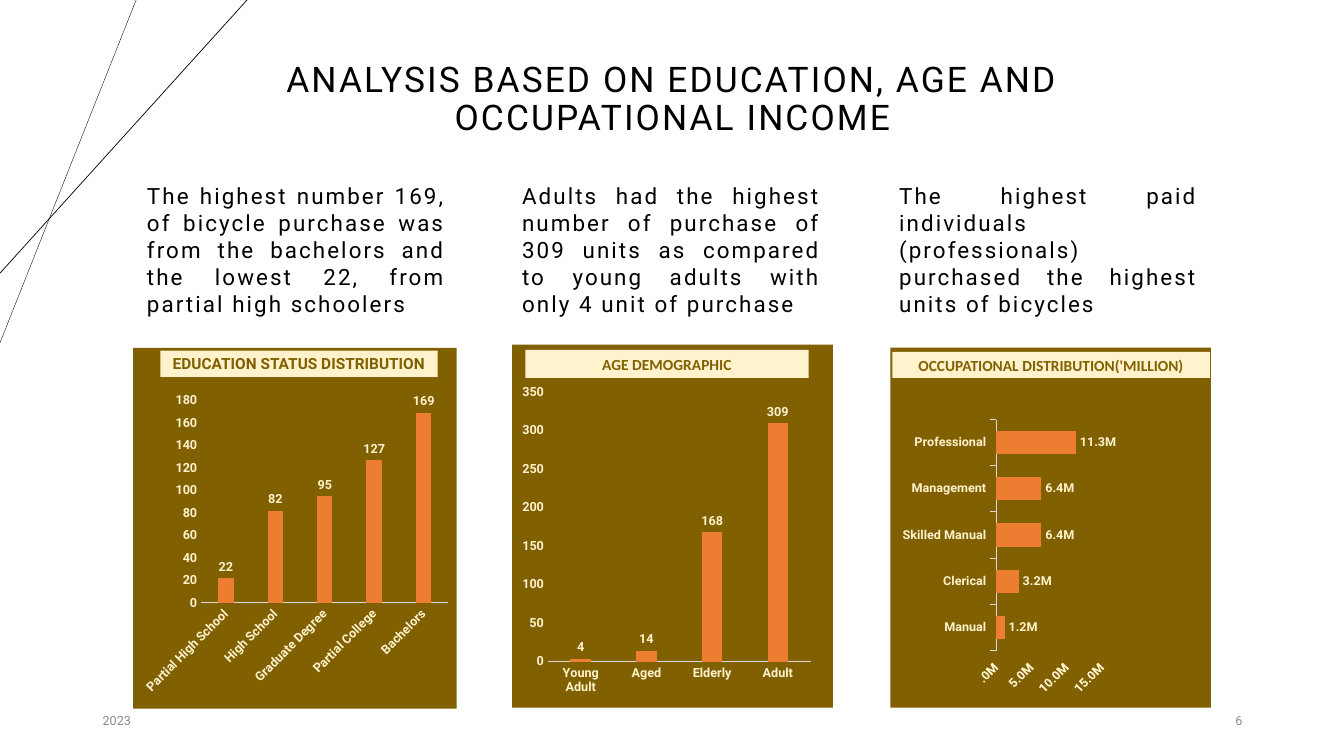
"""Build a slide of bicycle purchases by education, age and occupation."""
import pptx
import pptx.util
import pptx.dml.color
import pptx.chart.data
import pptx.enum.chart
import pptx.enum.shapes
import pptx.enum.text
import pptx.oxml
import pptx.oxml.ns

Inches, Pt = pptx.util.Inches, pptx.util.Pt
Align, Anchor = pptx.enum.text.PP_ALIGN, pptx.enum.text.MSO_ANCHOR
Kind, Tick = pptx.enum.chart.XL_CHART_TYPE, pptx.enum.chart.XL_TICK_MARK
qn = pptx.oxml.ns.qn
BROWN, CREAM, ORANGE, GREY = "806000", "FFF2CC", "ED7D31", "8C8C8C"
MILLIONS = '#.0,,"M"'


def color(code):
    return pptx.dml.color.RGBColor.from_string(code)


def write(shape, words, size, code, align, anchor=Anchor.MIDDLE, face="Roboto",
          bold=False, gap=0, wrap=True):
    frame = shape.text_frame
    frame.word_wrap = wrap
    frame.vertical_anchor = anchor
    para = frame.paragraphs[0]
    para.text = words
    para.alignment = align
    font = para.font
    font.name, font.size, font.bold = face, Pt(size), bold
    font.color.rgb = color(code)
    if gap:
        font._rPr.set("spc", str(gap))
    return para


deck = pptx.Presentation()
deck.slide_width, deck.slide_height = Inches(13.33), Inches(7.5)
slide = deck.slides.add_slide(deck.slide_layouts[6])
shapes = slide.shapes

for right, low, width in [(1.35, 3.4, 0.25), (2.45, 2.71, 0.5)]:
    line = shapes.add_connector(pptx.enum.shapes.MSO_CONNECTOR.STRAIGHT,
                                Inches(right), 0, 0, Inches(low))
    line.line.color.rgb = color("000000")
    line.line.width = Pt(width)
    line._element.spPr.append(pptx.oxml.parse_xml(
        '<a:effectLst xmlns:a="http://schemas.openxmlformats.org/drawingml/2006/main"/>'))

title = shapes.add_textbox(Inches(1.98), Inches(0.64), Inches(9.38), Inches(0.7))
write(title, "ANALYSIS BASED ON EDUCATION, AGE AND OCCUPATIONAL INCOME",
      25.2, "000000", Align.CENTER, gap=150).line_spacing = 0.9

notes = [
    (1.36, "The highest number 169, of bicycle purchase was from the bachelors "
           "and the lowest 22, from partial high schoolers"),
    (5.08, "Adults had the highest number of purchase of 309 units as compared "
           "to young adults with only 4 unit of purchase"),
    (8.82, "The highest paid individuals (professionals) purchased the highest "
           "units of bicycles"),
]
for left, words in notes:
    box = shapes.add_textbox(Inches(left), Inches(1.76), Inches(3.16), Inches(1.4))
    write(box, words, 16, "000000", Align.JUSTIFY, Anchor.TOP, gap=150)

for left, words, align in [(0.92, "2023", Align.LEFT), (9.42, "6", Align.RIGHT)]:
    box = shapes.add_textbox(Inches(left), Inches(6.95), Inches(3), Inches(0.4))
    write(box, words, 9, GREY, align)

panels = [
    ("EDUCATION STATUS DISTRIBUTION", "Roboto", (1.32, 3.45, 3.21, 3.58),
     (1.59, 3.48, 2.75, 0.26), (1.36, 3.84, 3.15, 3.11), Kind.COLUMN_CLUSTERED,
     {"Partial High School": 22, "High School": 82, "Graduate Degree": 95,
      "Partial College": 127, "Bachelors": 169}, 180, 20),
    ("AGE DEMOGRAPHIC", "Calibri", (5.08, 3.42, 3.18, 3.6),
     (5.21, 3.47, 2.81, 0.28), (5.12, 3.75, 2.98, 3.21), Kind.COLUMN_CLUSTERED,
     {"Young Adult": 4, "Aged": 14, "Elderly": 168, "Adult": 309}, 350, 50),
    ("OCCUPATIONAL DISTRIBUTION('MILLION)", "Calibri", (8.83, 3.45, 3.18, 3.57),
     (8.85, 3.49, 3.15, 0.26), (8.83, 3.8, 3.09, 3.1), Kind.BAR_CLUSTERED,
     {"Manual": 1200000, "Clerical": 3200000, "Skilled Manual": 6400000,
      "Management": 6400000, "Professional": 11300000}, 15000000, 5000000),
]
for head, face, panel, band, place, kind, sales, top, step in panels:
    for spot, code in [(panel, BROWN), (band, CREAM)]:
        rect = shapes.add_shape(pptx.enum.shapes.MSO_SHAPE.RECTANGLE,
                                *map(Inches, spot))
        rect.shadow.inherit = False
        rect.fill.solid()
        rect.fill.fore_color.rgb = color(code)
        rect.line.fill.background()
    write(rect, head, 11, BROWN, Align.CENTER, face=face, bold=True, wrap=False)

    flat = kind == Kind.BAR_CLUSTERED
    data = pptx.chart.data.CategoryChartData()
    data.categories = list(sales)
    data.add_series("Series 1", list(sales.values()))
    chart = shapes.add_chart(kind, *map(Inches, place), data).chart
    chart.has_legend = chart.has_title = False
    plot = chart.plots[0]
    plot.vary_by_categories = False
    plot.gap_width = 100 if flat else 219
    plot.overlap = 0 if flat else -27
    plot.has_data_labels = True
    labels = plot.data_labels
    labels.show_value = True
    labels.position = pptx.enum.chart.XL_LABEL_POSITION.OUTSIDE_END
    fill = plot.series[0].format.fill
    fill.solid()
    fill.fore_color.rgb = color(ORANGE)

    cats, vals = chart.category_axis, chart.value_axis
    for axis in (cats, vals):
        axis.has_major_gridlines = False
        axis.major_tick_mark = Tick.OUTSIDE if flat else Tick.NONE
        axis.minor_tick_mark = Tick.NONE
    cats.format.line.color.rgb = color("D9D9D9")
    cats.format.line.width = Pt(0.75)
    vals.format.line.fill.background()
    vals.minimum_scale, vals.maximum_scale, vals.major_unit = 0, top, step
    for font, size in [(chart.font, 10), (labels.font, 9),
                       (cats.tick_labels.font, 9), (vals.tick_labels.font, 9)]:
        font.name, font.size, font.bold = "Roboto", Pt(size), True
        font.color.rgb = color(CREAM)

    if len(sales) == 5:
        tilted = vals if flat else cats
        tilted._element.find(qn("c:txPr")).find(qn("a:bodyPr")).set("rot", "-2700000")
    if flat:
        for part in (labels, vals.tick_labels):
            part.number_format = MILLIONS
            part.number_format_is_linked = False
        area = plot._element.getparent()
        for old in area.findall(qn("c:layout")):
            area.remove(old)
        sizes = [("x", 0.34), ("y", 0.12), ("w", 0.34), ("h", 0.76)]
        area.insert(0, pptx.oxml.parse_xml(
            '<c:layout xmlns:c="http://schemas.openxmlformats.org/drawingml/2006/chart">'
            '<c:manualLayout><c:layoutTarget val="inner"/>'
            '<c:xMode val="edge"/><c:yMode val="edge"/>'
            + "".join(f'<c:{key} val="{share}"/>' for key, share in sizes)
            + '</c:manualLayout></c:layout>'))

deck.save("out.pptx")
